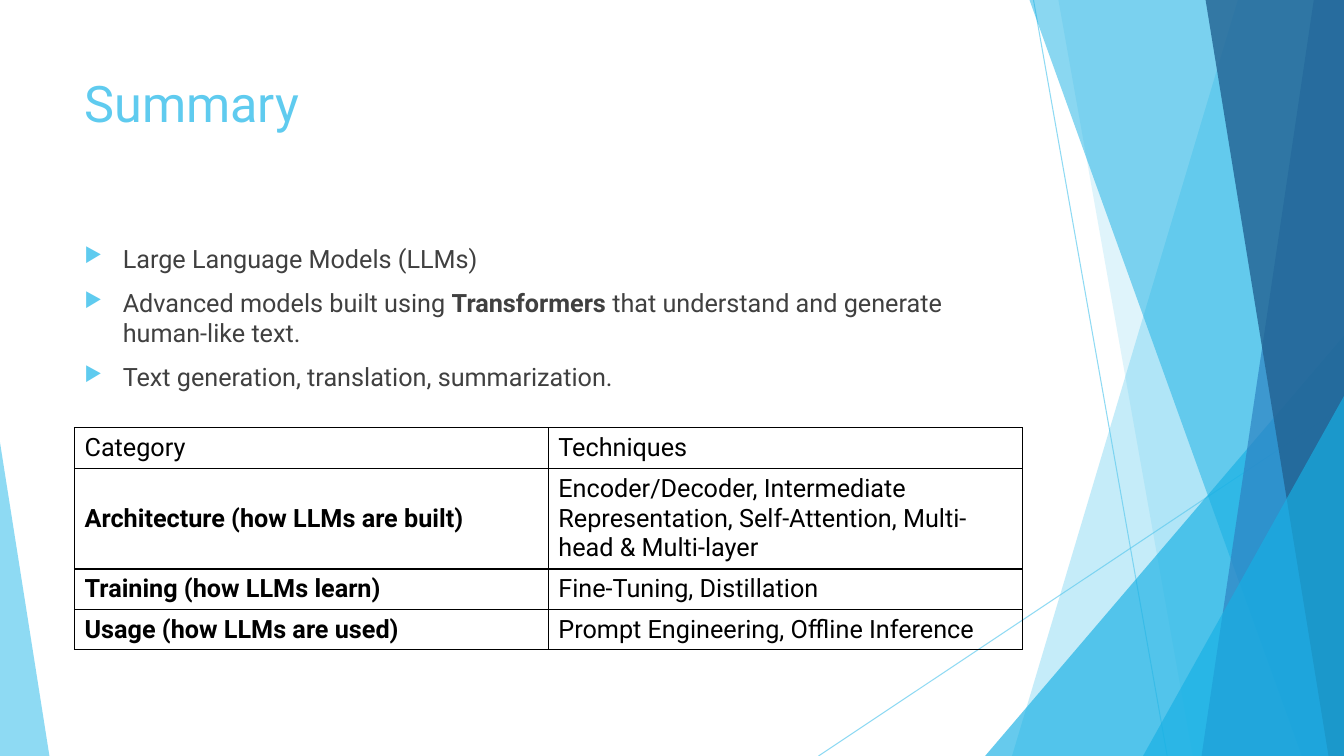
from dataclasses import dataclass

from lxml.etree import SubElement
from pptx import Presentation
from pptx.dml.color import RGBColor
from pptx.enum.shapes import MSO_CONNECTOR, MSO_SHAPE
from pptx.enum.text import MSO_ANCHOR
from pptx.oxml.ns import qn
from pptx.util import Inches, Pt

WIDTH, HEIGHT = Inches(13.33), Inches(7.5)


@dataclass(frozen=True)
class Theme:
    font: str = "Roboto"
    sky: str = "5FCBEF"
    cyan: str = "17B0E4"
    blue: str = "2E83C3"
    navy: str = "226292"
    text: str = "404040"
    table: str = "000000"
    title_size: int = 36
    body_size: int = 18


THEME = Theme()
MARGIN, CONTENT = 5.55, 70.5
BULLETS = [
    [("Large Language Models (LLMs)", False)],
    [
        ("Advanced models built using ", False),
        ("Transformers", True),
        (" that understand and generate human-like text.", False),
    ],
    [("Text generation, translation, summarization.", False)],
]
ROWS = [
    ("Category", "Techniques"),
    (
        "Architecture (how LLMs are built)",
        "Encoder/Decoder, Intermediate Representation, Self-Attention, Multi-head & Multi-layer",
    ),
    ("Training (how LLMs learn)", "Fine-Tuning, Distillation"),
    ("Usage (how LLMs are used)", "Prompt Engineering, Offline Inference"),
]
ROW_HEIGHTS = [5.22, 13.1, 5.22, 5.22]


def across(percent):
    return round(WIDTH * percent / 100)


def down(percent):
    return round(HEIGHT * percent / 100)


def assign(target, values):
    for name, value in values.items():
        setattr(target, name, value)


def add_child(parent, tag, **attributes):
    return SubElement(parent, qn(tag), attributes)


def paint(fill, color, opacity):
    fill.solid()
    fill.fore_color.rgb = RGBColor.from_string(color)
    for node in fill._xPr.iter(qn("a:srgbClr")):
        add_child(node, "a:alpha", val=str(opacity * 1000))


def finish(shape, color, opacity):
    shape.shadow.inherit = False
    shape.line.fill.background()
    paint(shape.fill, color, opacity)


def add_ray(page, start, end):
    ray = page.shapes.add_connector(
        MSO_CONNECTOR.STRAIGHT,
        across(start[0]), down(start[1]), across(end[0]), down(end[1]),
    )
    ray.line.width = Pt(0.75)
    paint(ray.line.fill, THEME.sky, 70)
    add_child(ray._element.spPr, "a:effectLst")


def add_ribbon(page, top, bottom, color, opacity):
    outline = page.shapes.build_freeform(across(top), 0)
    outline.add_line_segments([(WIDTH, 0), (WIDTH, HEIGHT), (across(bottom), HEIGHT)])
    finish(outline.convert_to_shape(), color, opacity)


def add_corner(page, left, right, top, apex, color, opacity):
    corner = page.shapes.add_shape(
        MSO_SHAPE.ISOSCELES_TRIANGLE,
        across(left), down(top), across(right - left), down(100 - top),
    )
    corner.adjustments[0] = apex
    finish(corner, color, opacity)


def add_span(para, text, size, color, bold=False):
    span = para.add_run()
    span.text = text
    assign(span.font, {"name": THEME.font, "size": Pt(size), "bold": bold})
    span.font.color.rgb = RGBColor.from_string(color)


def add_box(page, top, height):
    box = page.shapes.add_textbox(across(MARGIN), down(top), across(CONTENT), down(height))
    assign(box.text_frame, {"word_wrap": True, "vertical_anchor": MSO_ANCHOR.TOP})
    return box.text_frame


def add_bullet(para):
    para.space_before = Pt(10)
    props = para._p.get_or_add_pPr()
    indent = Inches(0.38)
    props.set("marL", str(indent))
    props.set("indent", str(-indent))
    add_child(add_child(props, "a:buClr"), "a:srgbClr", val=THEME.sky)
    add_child(props, "a:buSzPct", val="80000")
    add_child(props, "a:buChar", char="▶")


def add_bullets(page, top, height, items):
    frame = add_box(page, top, height)
    for index, item in enumerate(items):
        para = frame.add_paragraph() if index else frame.paragraphs[0]
        add_bullet(para)
        for text, bold in item:
            add_span(para, text, THEME.body_size, THEME.text, bold)


def outline_cell(cell):
    props = cell._tc.get_or_add_tcPr()
    for side in ("L", "R", "T", "B"):
        border = add_child(props, f"a:ln{side}", w=str(Pt(1)))
        add_child(add_child(border, "a:solidFill"), "a:srgbClr", val=THEME.table)
    cell.fill.background()


def add_grid(page, top, rows, heights):
    table = page.shapes.add_table(
        len(rows), len(rows[0]),
        across(MARGIN), down(top), across(CONTENT), down(sum(heights)),
    ).table
    assign(table, {"first_row": False, "horz_banding": False})
    for row_index, (texts, height) in enumerate(zip(rows, heights)):
        table.rows[row_index].height = down(height)
        for column_index, text in enumerate(texts):
            cell = table.cell(row_index, column_index)
            cell.vertical_anchor = MSO_ANCHOR.MIDDLE
            outline_cell(cell)
            bold = row_index > 0 and column_index == 0
            add_span(cell.text_frame.paragraphs[0], text, THEME.body_size, THEME.table, bold)


def add_backdrop(page):
    add_ray(page, (76.9, 0), (86.85, 100))
    add_ray(page, (100, 53.7), (60.9, 100))
    add_ribbon(page, 92.1, 75.3, THEME.sky, 36)
    add_ribbon(page, 78.75, 88.75, THEME.sky, 20)
    add_corner(page, 73.3, 100, 44.4, 1, THEME.cyan, 66)
    add_ribbon(page, 76.6, 96.85, THEME.cyan, 50)
    add_ribbon(page, 97.75, 89.4, THEME.blue, 70)
    add_ribbon(page, 89.7, 98.85, THEME.navy, 80)
    add_corner(page, 85.05, 100, 52.4, 1, THEME.cyan, 66)
    add_corner(page, 0, 3.68, 58.5, 0, THEME.sky, 70)


def main():
    deck = Presentation()
    assign(deck, {"slide_width": WIDTH, "slide_height": HEIGHT})
    page = deck.slides.add_slide(deck.slide_layouts[6])
    add_backdrop(page)
    title = add_box(page, 8.93, 19.2)
    add_span(title.paragraphs[0], "Summary", THEME.title_size, THEME.sky)
    add_bullets(page, 31.47, 56.5, BULLETS)
    add_grid(page, 56.6, ROWS, ROW_HEIGHTS)
    deck.save("out.pptx")


if __name__ == "__main__":
    main()
